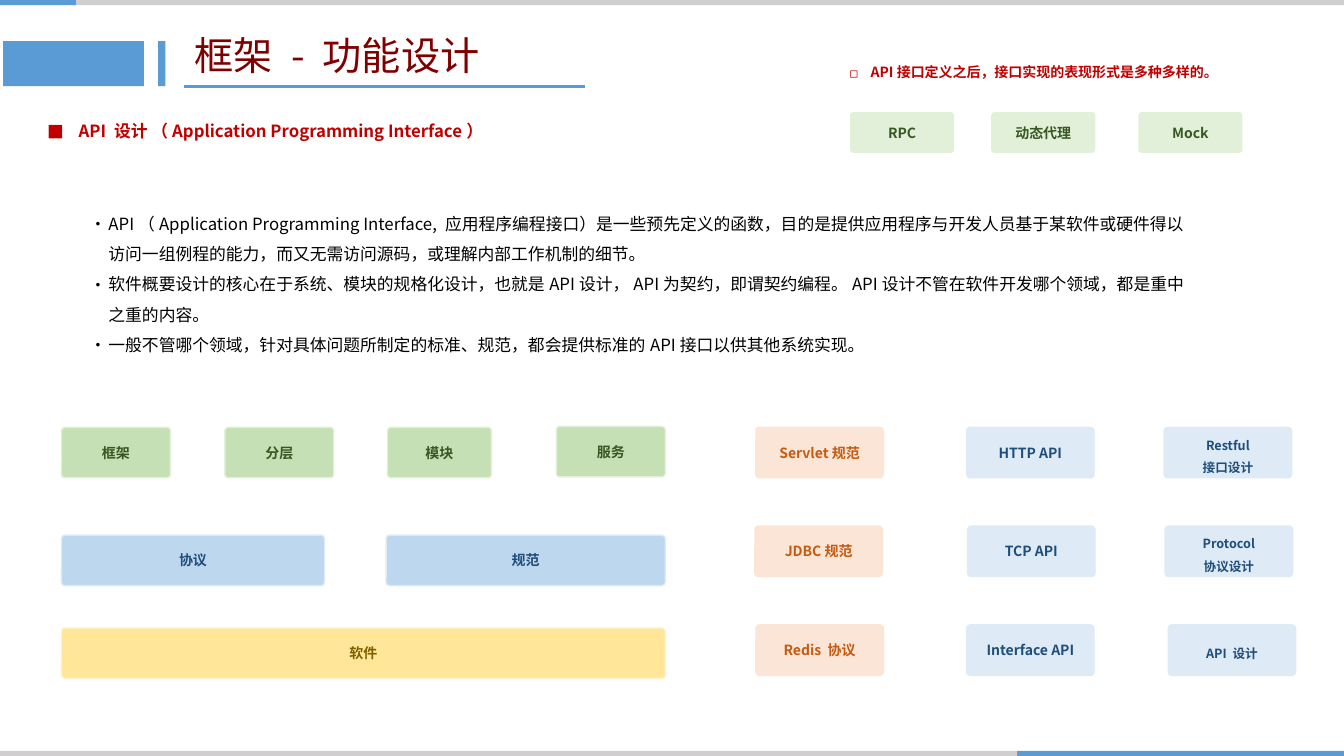
"""Build the framework slide on API design."""
from lxml import etree
from pptx import Presentation
from pptx.dml.color import RGBColor
from pptx.enum import shapes, text
from pptx.oxml import ns
from pptx.util import Pt


class Theme:
    font = "Noto Sans CJK SC"
    blue, gray = "5B9BD5", "D0CECE"
    title, red, black = "800000", "C00000", "000000"
    green = ("C5E0B4", "E2F0D9", "385723")
    mint = ("E2F0D9", "E2F0D9", "385723")
    sky = ("BDD7EE", "DEEBF7", "1F4E79")
    pale = ("DEEBF7", "DEEBF7", "1F4E79")
    gold = ("FFE699", "FFF2CC", "806000")
    peach = ("FBE5D6", "FBE5D6", "C55A11")
    head, body, label, small = 28, 12, 10, 9
    lead = 1.8


def write(para, words, size, color, bold=True):
    run = para.add_run()
    run.text = words
    font = run.font
    font.name, font.size, font.bold = Theme.font, Pt(size), bold
    font.color.rgb = RGBColor.from_string(color)
    east = etree.SubElement(font._element, ns.qn("a:ea"))
    east.set("typeface", Theme.font)


def block(kind, left, top, width, height, fill, edge=None):
    shape = slide.shapes.add_shape(kind, Pt(left), Pt(top), Pt(width), Pt(height))
    shape.shadow.inherit = False
    shape.fill.solid()
    shape.fill.fore_color.rgb = RGBColor.from_string(fill)
    if edge:
        shape.adjustments[0] = 0.07
        shape.line.color.rgb = RGBColor.from_string(edge)
        shape.line.width = Pt(1)
    else:
        shape.line.fill.background()
    return shape


deck = Presentation()
deck.slide_width, deck.slide_height = Pt(960), Pt(540)
slide = deck.slides.add_slide(deck.slide_layouts[5])

bars = [
    (726.5, 536.4, 233.5, 3.6, Theme.blue),
    (0, 536.4, 726.5, 3.6, Theme.gray),
    (0, 0, 54.5, 3.6, Theme.blue),
    (54.5, 0, 905.5, 3.6, Theme.gray),
    (112.9, 29.3, 5.2, 32.3, Theme.blue),
    (2.2, 29.3, 100.6, 32.3, Theme.blue),
]
for bar in bars:
    block(shapes.MSO_SHAPE.RECTANGLE, *bar)

title = slide.shapes.title
title.left, title.top, title.width, title.height = Pt(131.8), Pt(20.2), Pt(293), Pt(41.8)
frame = title.text_frame
frame.auto_size = text.MSO_AUTO_SIZE.NONE
frame.vertical_anchor = text.MSO_ANCHOR.MIDDLE
para = frame.paragraphs[0]
para.alignment = text.PP_ALIGN.LEFT
para.line_spacing = 0.9
write(para, "框架 - 功能设计", Theme.head, Theme.title, False)

rule = slide.shapes.add_connector(
    shapes.MSO_CONNECTOR.STRAIGHT, Pt(131.8), Pt(61.9), Pt(417.6), Pt(61.9))
rule.line.color.rgb = RGBColor.from_string(Theme.blue)
rule.line.width = Pt(2.25)
etree.SubElement(rule._element.spPr, ns.qn("a:effectLst"))

notes = [
    (26.6, 75.6, 409.7, 28.8, "■", 22.5, Theme.body, Theme.red, True,
     ["API 设计 （Application Programming Interface）"]),
    (56.9, 141.8, 800.6, 115.9, "•", 13.5, Theme.body, Theme.black, False,
     ["API（Application Programming Interface, 应用程序编程接口）是一些预先定义的函数，"
      "目的是提供应用程序与开发人员基于某软件或硬件得以访问一组例程的能力，"
      "而又无需访问源码，或理解内部工作机制的细节。",
      "软件概要设计的核心在于系统、模块的规格化设计，也就是API设计，API为契约，"
      "即谓契约编程。API设计不管在软件开发哪个领域，都是重中之重的内容。",
      "一般不管哪个领域，针对具体问题所制定的标准、规范，"
      "都会提供标准的API接口以供其他系统实现。"]),
    (599.8, 36, 347, 25.2, "◻", 15, Theme.label, Theme.red, True,
     ["API接口定义之后，接口实现的表现形式是多种多样的。"]),
]
for left, top, width, height, mark, dent, size, color, bold, lines in notes:
    note = slide.shapes.add_textbox(Pt(left), Pt(top), Pt(width), Pt(height))
    frame = note.text_frame
    frame.word_wrap = True
    for row, line in enumerate(lines):
        para = frame.add_paragraph() if row else frame.paragraphs[0]
        props = para._p.get_or_add_pPr()
        props.set("marL", str(Pt(dent)))
        props.set("indent", str(-Pt(dent)))
        etree.SubElement(props, ns.qn("a:buFont")).set("typeface", Theme.font)
        etree.SubElement(props, ns.qn("a:buChar")).set("char", mark)
        para.line_spacing = Pt(size * Theme.lead)
        write(para, line, size, color, bold)

cards = [
    (43.9, 305.3, 77.8, 36, Theme.green, "框架"),
    (160.6, 305.3, 77.8, 36, Theme.green, "分层"),
    (276.8, 305.3, 74.2, 36, Theme.green, "模块"),
    (397.4, 304.6, 77.8, 36, Theme.green, "服务"),
    (43.9, 382.3, 187.9, 36, Theme.sky, "协议"),
    (275.8, 382.3, 199.4, 36, Theme.sky, "规范"),
    (43.9, 448.6, 431.3, 36, Theme.gold, "软件"),
]
for left, name in zip((607.7, 708.5, 813.6), ("RPC", "动态代理", "Mock")):
    cards.append((left, 80.6, 73.4, 28.1, Theme.mint, name))

grid = [
    (Theme.peach, (540, 539.3, 540), ("Servlet规范", "JDBC规范", "Redis 协议")),
    (Theme.pale, (690.5, 691.2, 690.5), ("HTTP API", "TCP API", "Interface API")),
]
for tone, lefts, names in grid:
    for row, (left, name) in enumerate(zip(lefts, names)):
        cards.append((left, 305.3 + 70.55 * row, 91, 36, tone, name))
for left, top, width, height, (fill, edge, ink), name in cards:
    card = block(shapes.MSO_SHAPE.ROUNDED_RECTANGLE, left, top, width, height, fill, edge)
    para = card.text_frame.paragraphs[0]
    para.alignment = text.PP_ALIGN.CENTER
    write(para, name, Theme.label, ink)

goals = [
    (831.6, ["Restful", "接口设计"]),
    (832.3, ["Protocol", "协议设计"]),
    (834.5, ["API 设计"]),
]
fill, edge, ink = Theme.pale
for row, (left, lines) in enumerate(goals):
    goal = block(shapes.MSO_SHAPE.ROUNDED_RECTANGLE,
                 left, 305.3 + 70.55 * row, 91, 36, fill, edge)
    frame = goal.text_frame
    for rank, line in enumerate(lines):
        para = frame.add_paragraph() if rank else frame.paragraphs[0]
        para.alignment = text.PP_ALIGN.CENTER
        para.line_spacing = Pt(Theme.small * Theme.lead)
        write(para, line, Theme.small, ink)

deck.save("out.pptx")
